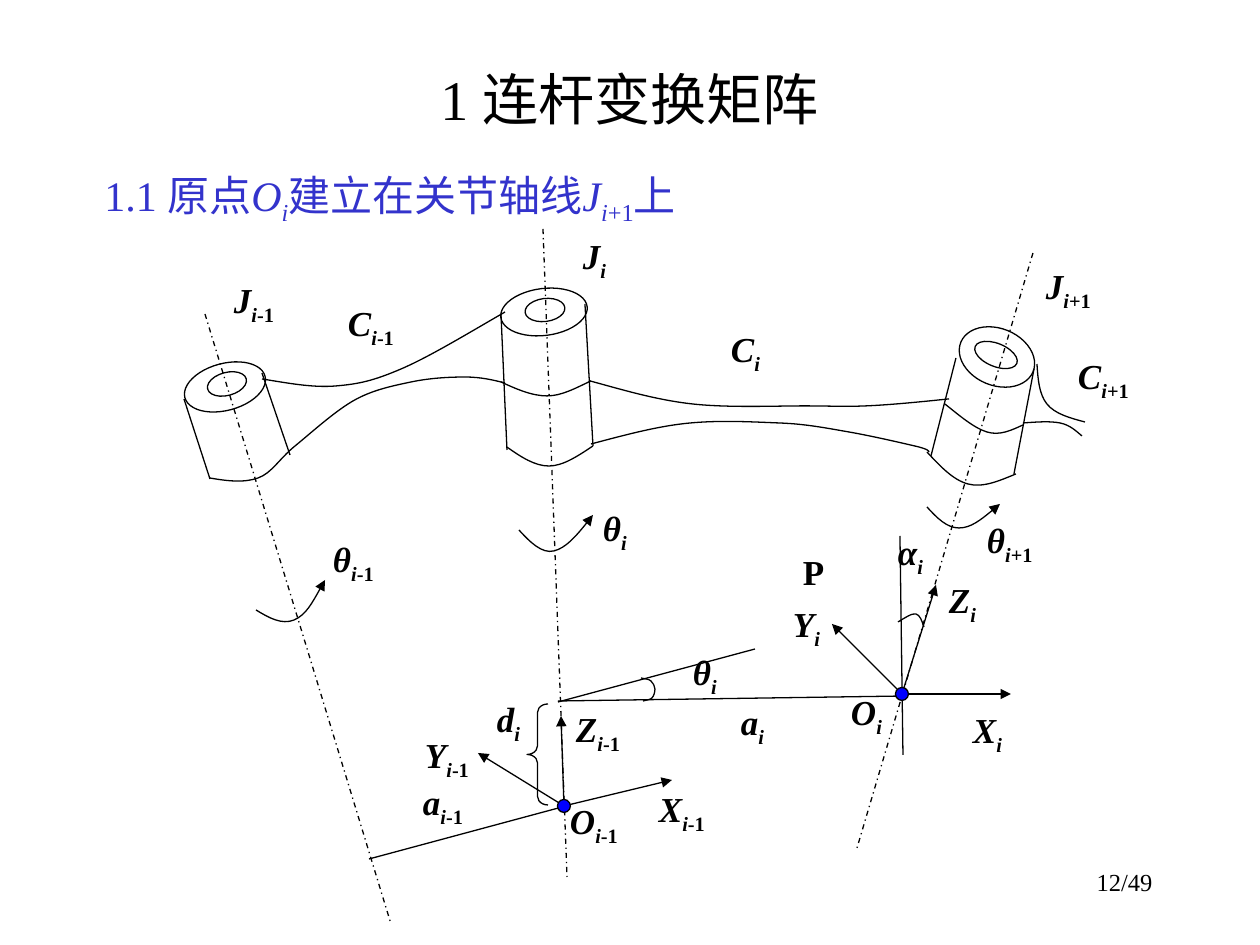
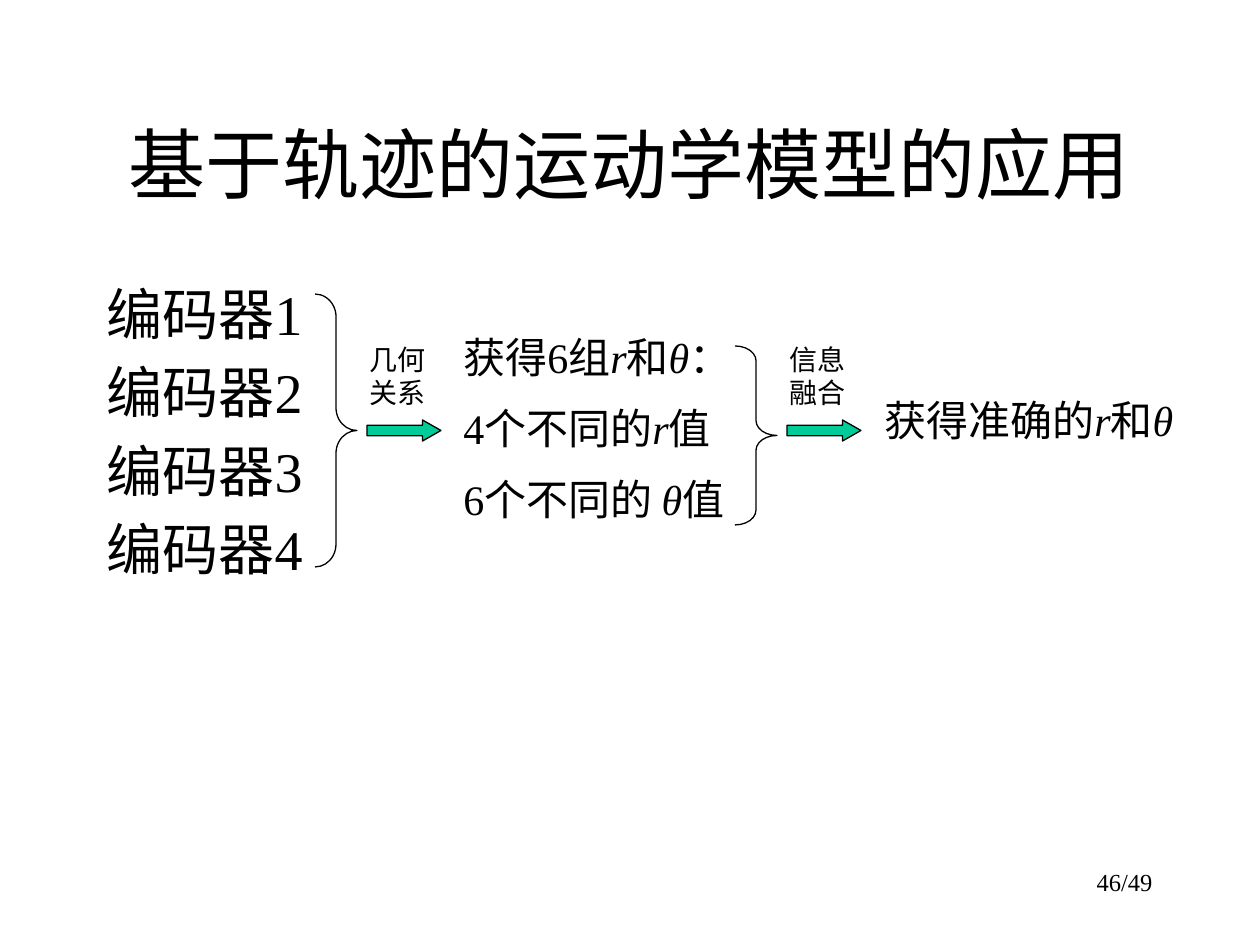
"""Build two slides on link frames and trajectory-based kinematics."""
import pptx
import pptx.util
import pptx.dml.color
import pptx.enum.dml
import pptx.enum.shapes
import pptx.enum.text
import pptx.oxml.ns
import lxml.etree

SCALE = 914400 / 126
FONT = "Times New Roman"
COLORS = {"ink": "000000", "head": "3333CC", "dot": "0000FF", "arrow": "00CC99"}
KIND = pptx.enum.shapes.MSO_SHAPE
ALIGN = pptx.enum.text.PP_ALIGN
qn = pptx.oxml.ns.qn
PAGES = 49
DOT = 13

JOINTS = [
    dict(step="-1", axis=[(205, 314), (391, 924)], tilt=345,
         rings=[(227, 384, 40, 23), (225, 387, 83, 47)],
         walls=[[(184, 399), (210, 479)], [(262, 373), (290, 455)]],
         rims=[],
         turn=[(256, 610), (294, 620), (325, 580)],
         labels={"J": (231, 277), "θ": (330, 536)}),
    dict(step="", axis=[(543, 229), (567, 877)], tilt=352.9,
         rings=[(545, 310, 40, 23), (544, 312, 87, 47)],
         walls=[[(501, 314), (507, 450)], [(585, 304), (593, 446)]],
         rims=[[(501, 382), (547, 396), (591, 381)],
               [(507, 447), (549, 466), (593, 446)]],
         turn=[(519, 530), (554, 551), (593, 515)],
         labels={"J": (580, 233), "θ": (600, 505)}),
    dict(step="+1", axis=[(1033, 253), (857, 848)], tilt=22.2,
         rings=[(996, 355, 45, 23), (997, 357, 78, 57)],
         walls=[[(956, 358), (931, 456)], [(1034, 369), (1014, 474)]],
         rims=[[(945, 404), (987, 432), (1023, 425)],
               [(927, 452), (968, 484), (1016, 474)]],
         turn=[(927, 507), (959, 528), (1000, 504)],
         labels={"J": (1043, 263), "θ": (984, 517)}),
]
LINKS = [
    dict(step="-1", label=(345, 300),
         top=[(262, 379), (336, 386), (401, 369), (505, 312)],
         base=[(210, 478), (258, 478), (295, 446), (353, 401), (411, 382),
               (465, 377), (505, 383)]),
    dict(step="", label=(728, 326),
         top=[(590, 381), (692, 404), (804, 406), (866, 406), (949, 399)],
         base=[(591, 444), (690, 423), (780, 423), (849, 432), (915, 446),
               (929, 452)]),
    dict(step="+1", label=(1075, 353),
         top=[(1037, 364), (1047, 404), (1085, 422)],
         base=[(1023, 423), (1060, 423), (1082, 436)]),
]
FRAMES = [
    dict(step="-1", origin=(564, 806), label=(567, 798),
         tips={"X": (672, 780), "Y": (478, 753), "Z": (561, 716)},
         names={"X": (656, 786), "Y": (422, 732), "Z": (573, 706)}),
    dict(step="", origin=(902, 694), label=(848, 689),
         tips={"X": (1011, 694), "Y": (832, 624), "Z": (936, 585)},
         names={"X": (970, 707), "Y": (790, 601), "Z": (946, 577)}),
]
GUIDES = {
    "a before": [(369, 859), (566, 806)],
    "a": [(558, 701), (905, 696)],
    "x parallel": [(558, 702), (755, 649)],
    "z parallel": [(900, 536), (903, 755)],
}
ANGLES = {
    "alpha": [(898, 622), (916, 614), (924, 627)],
    "theta": [(641, 678), (651, 681), (655, 689), (652, 698), (643, 701)],
}
OFFSET = (527, 704, 21, 101)
SIZES = [("a", "-1", (420, 779)), ("a", "", (738, 699)), ("d", "", (494, 696)),
         ("θ", "", (690, 649)), ("α", "", (895, 529))]
POINT = ("P", (800, 549))
HEAD = [("1.1 原点", ""), ("O", "i"), ("i", "is"), ("建立在关节轴线", ""),
        ("J", "i"), ("i", "is"), ("+1", "s"), ("上", "")]

CODERS = [[(f"编码器{num}", "")] for num in range(1, 5)]
BOTH = [("r", "i"), ("和", ""), ("θ", "i")]
SETS = [
    [("获得6组", ""), *BOTH, ("\uff1a", "")],
    [("4个不同的", ""), ("r", "i"), ("值", "")],
    [("6个不同的 ", ""), ("θ", "i"), ("值", "")],
]
RESULT = [[("获得准确的", ""), *BOTH]]
STAGES = [
    dict(name="几何关系", left=315, top=294, high=273, bend=0.542),
    dict(name="信息融合", left=735, top=346, high=179, bend=0.354),
]


def px(val):
    return pptx.util.Emu(round(val * SCALE))


def box(*vals):
    return [px(val) for val in vals]


def rgb(name):
    return pptx.dml.color.RGBColor.from_string(COLORS[name])


def pen(item, dash=False, tip=False):
    item.line.color.rgb = rgb("ink")
    item.line.width = pptx.util.Pt(0.75)
    if dash:
        item.line.dash_style = pptx.enum.dml.MSO_LINE.DASH_DOT
    if tip:
        edge = item.line._get_or_add_ln()
        lxml.etree.SubElement(edge, qn("a:tailEnd"), type="triangle")


def shape(shapes, kind, at, fill=None, turn=0, adj=()):
    item = shapes.add_shape(kind, *box(*at))
    item.shadow.inherit = False
    item.rotation = turn
    for i, val in enumerate(adj):
        item.adjustments[i] = val
    if fill:
        item.fill.solid()
        item.fill.fore_color.rgb = rgb(fill)
    else:
        item.fill.background()
    pen(item)


def oval(shapes, x, y, wide, high, **look):
    shape(shapes, KIND.OVAL, (x - wide / 2, y - high / 2, wide, high), **look)


def line(shapes, start, end, dash=False, tip=False):
    kind = pptx.enum.shapes.MSO_CONNECTOR.STRAIGHT
    item = shapes.add_connector(kind, *box(*start, *end))
    pen(item, dash, tip)
    lxml.etree.SubElement(item._element.spPr, qn("a:effectLst"))


def shift(knot, start, end, part):
    return tuple(k + (e - s) * part for k, s, e in zip(knot, start, end))


def spline(knots):
    """Return Bezier points whose inner tangents follow each knot's neighbours."""
    pts = [knots[0]]
    for prev, knot, after in zip(knots, knots[1:], knots[2:]):
        pts += [shift(knot, prev, after, -1 / 6), knot, shift(knot, prev, after, 1 / 6)]
    first = shift(knots[0], knots[0], pts[1], 0.5)
    last = shift(knots[-1], knots[-1], pts[-1], 0.5)
    return [pts[0], first, *pts[1:], last, knots[-1]]


def curve(shapes, knots, tip=False):
    start, *pts = [(round(x), round(y)) for x, y in spline(knots)]
    form = shapes.build_freeform(*start, scale=SCALE)
    form.add_line_segments(pts, close=False)
    item = form.convert_to_shape()
    item.shadow.inherit = False
    item.fill.background()
    pen(item, tip=tip)
    track = next(item._element.iter(qn("a:path")))
    segs = track.findall(qn("a:lnTo"))
    for i in range(0, len(segs), 3):
        bend = lxml.etree.SubElement(track, qn("a:cubicBezTo"))
        for seg in segs[i:i + 3]:
            bend.append(seg[0])
            track.remove(seg)


def write(frame, paras, size, color="ink", align=ALIGN.LEFT, bold=False, gap=0):
    frame.word_wrap = True
    for i, runs in enumerate(paras):
        para = frame.add_paragraph() if i else frame.paragraphs[0]
        para.alignment = align
        para.space_before = pptx.util.Pt(size * gap)
        font = para.font
        font.name, font.size, font.bold = FONT, pptx.util.Pt(size), bold
        font.color.rgb = rgb(color)
        for words, style in runs:
            run = para.add_run()
            run.text = words
            if "i" in style:
                run.font.italic = True
            if "s" in style:
                run._r.get_or_add_rPr().set("baseline", "-25000")


def text(shapes, at, paras, size, **look):
    frame = shapes.add_textbox(*box(*at)).text_frame
    write(frame, paras, size, **look)
    return frame


def label(shapes, spot, runs):
    frame = text(shapes, (*spot, 73, 62), [runs], 20, align=ALIGN.JUSTIFY, bold=True)
    frame.margin_left = frame.margin_right = px(3)
    frame.margin_top = frame.margin_bottom = px(2)


def symbol(shapes, name, step, spot):
    index = [(step, "s")] if step else []
    label(shapes, spot, [(name, "i"), ("i", "is"), *index])


def joint(shapes, part):
    for ring in part["rings"]:
        oval(shapes, *ring, turn=part["tilt"])
    for wall in part["walls"]:
        line(shapes, *wall)
    for rim in part["rims"]:
        curve(shapes, rim)
    line(shapes, *part["axis"], dash=True)
    curve(shapes, part["turn"], tip=True)
    for name, spot in part["labels"].items():
        symbol(shapes, name, part["step"], spot)


def link(shapes, part):
    curve(shapes, part["top"])
    curve(shapes, part["base"])
    symbol(shapes, "C", part["step"], part["label"])


def triad(shapes, part):
    for name, tip in part["tips"].items():
        line(shapes, part["origin"], tip, tip=True)
        symbol(shapes, name, part["step"], part["names"][name])
    oval(shapes, *part["origin"], DOT, DOT, fill="dot")
    symbol(shapes, "O", part["step"], part["label"])


def page(deck, title, at, size, num):
    slide = deck.slides.add_slide(deck.slide_layouts[5])
    head = slide.shapes.title
    head.left, head.top, head.width, head.height = box(*at)
    head.text_frame.vertical_anchor = pptx.enum.text.MSO_ANCHOR.MIDDLE
    write(head.text_frame, [[(title, "")]], size, align=ALIGN.CENTER)
    text(slide.shapes, (903, 861, 262, 63), [[(f"{num}/{PAGES}", "")]], 14,
         align=ALIGN.RIGHT)
    return slide.shapes


def arm(deck):
    shapes = page(deck, "1 连杆变换矩阵", (94, 56, 1071, 84), 32, 12)
    group = shapes.add_group_shape().shapes
    for draw, parts in ((joint, JOINTS), (link, LINKS)):
        for part in parts:
            draw(group, part)
    for guide in GUIDES.values():
        line(group, *guide)
    for angle in ANGLES.values():
        curve(group, angle)
    shape(group, KIND.LEFT_BRACE, OFFSET, adj=(0.403, 0.5))
    for part in FRAMES:
        triad(group, part)
    for size in SIZES:
        symbol(group, *size)
    name, spot = POINT
    label(group, spot, [(name, "")])
    text(shapes, (92, 163, 609, 63), [HEAD], 24, color="head")


def usage(deck):
    shapes = page(deck, "基于轨迹的运动学模型的应用", (94, 84, 1071, 158), 44, 46)
    text(shapes, (94, 273, 315, 347), CODERS, 32, gap=0.2)
    text(shapes, (451, 325, 305, 214), SETS, 24, gap=0.5)
    text(shapes, (872, 388, 347, 63), RESULT, 24)
    for stage in STAGES:
        left = stage["left"]
        shape(shapes, KIND.RIGHT_BRACE, (left, stage["top"], 42, stage["high"]),
              adj=(stage["bend"], 0.5))
        text(shapes, (left + 42, 336, 95, 81), [[(stage["name"], "")]], 16, gap=0.5)
        shape(shapes, KIND.RIGHT_ARROW, (left + 52, 420, 74, 21), fill="arrow",
              adj=(0.5, 0.875))


deck = pptx.Presentation()
deck.slide_width, deck.slide_height = box(1260, 945)
arm(deck)
usage(deck)
deck.save("out.pptx")
